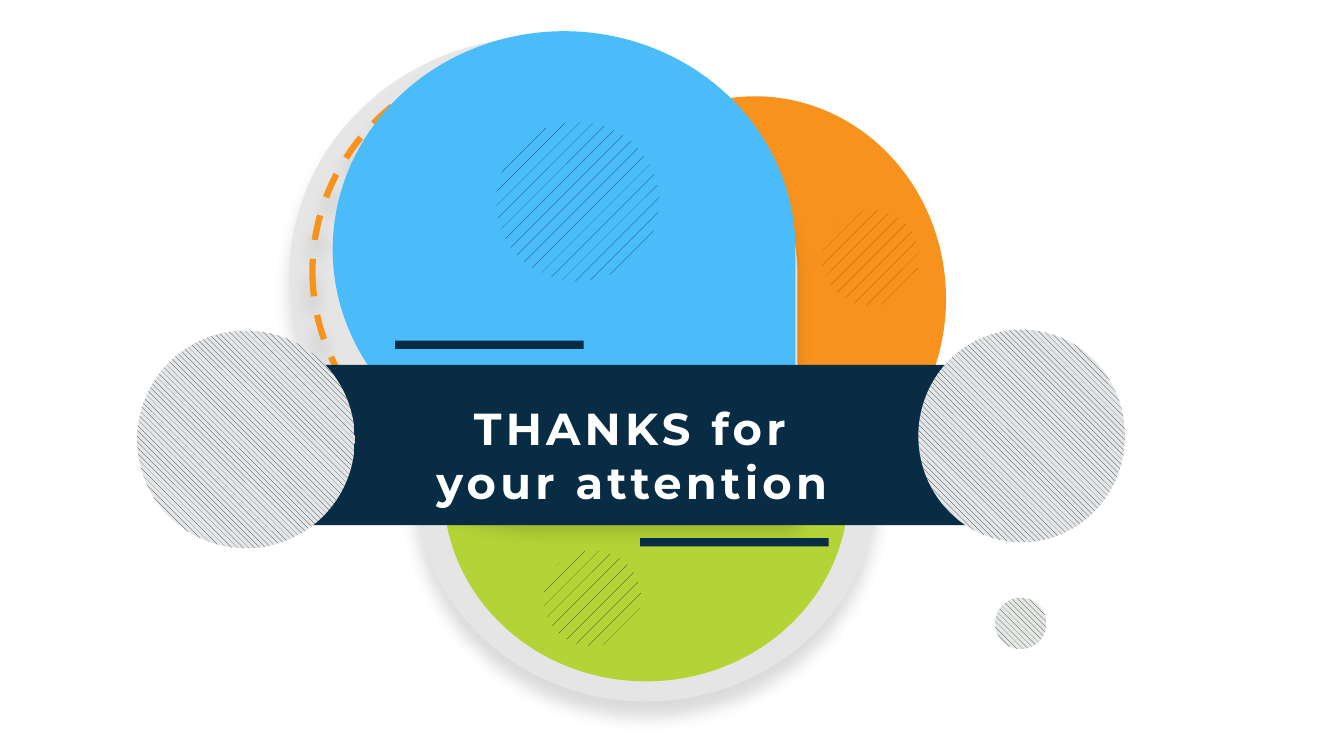
import lxml.etree
import pptx
import pptx.dml.color
import pptx.enum.dml
import pptx.enum.shapes
import pptx.enum.text
import pptx.oxml
import pptx.oxml.ns
import pptx.util

RGBColor = pptx.dml.color.RGBColor
WHITE = RGBColor(0xFF, 0xFF, 0xFF)
GREY = RGBColor(0xE7, 0xE6, 0xE6)
NAVY = RGBColor(0x07, 0x2C, 0x44)
BLUE = RGBColor(0x4B, 0xBC, 0xFA)
ORANGE = RGBColor(0xF7, 0x93, 0x1C)
BROWN = RGBColor(0x85, 0x4A, 0x05)
LIME = RGBColor(0xB3, 0xD3, 0x36)
FOREST = RGBColor(0x0B, 0x42, 0x13)

SHAPE = pptx.enum.shapes.MSO_SHAPE
DOTS = pptx.enum.dml.MSO_PATTERN.PERCENT_5
STRIPES = pptx.enum.dml.MSO_PATTERN.WIDE_DOWNWARD_DIAGONAL
BADGE = (7.28, 12.67)
BAR = (14.03, 1.07)
PETAL = (30.15, 50.53)


class ClosingSlide:
    """Draws the closing page, with all lengths in percent of the slide's size."""

    font = "Montserrat"

    def __init__(self, deck):
        self.deck = deck
        self.page = deck.slides.add_slide(deck.slide_layouts.get_by_name("Title Only"))

    def frame(self, left, top, width, height):
        across, down = self.deck.slide_width / 100, self.deck.slide_height / 100
        return int(left * across), int(top * down), int(width * across), int(height * down)

    def shape(self, kind, place, color=None):
        shape = self.page.shapes.add_shape(kind, *self.frame(*place))
        shape.shadow.inherit = False
        shape.line.fill.background()
        if color is None:
            shape.fill.background()
        else:
            shape.fill.solid()
            shape.fill.fore_color.rgb = color
        return shape

    def drop(self, place, color=None, turn=0):
        drop = self.shape(SHAPE.TEAR, place, color)
        drop.rotation = turn
        drop._element.spPr.find(pptx.oxml.ns.qn("a:xfrm")).set("flipH", "1")
        return drop

    def soften(self, drop):
        effects = drop._element.spPr.find(pptx.oxml.ns.qn("a:effectLst"))
        effects.append(pptx.oxml.parse_xml(
            f'<a:outerShdw {pptx.oxml.ns.nsdecls("a")} blurRad="146050" dist="146050" '
            'dir="5460000" rotWithShape="0"><a:srgbClr val="000000">'
            '<a:alpha val="14000"/></a:srgbClr></a:outerShdw>'))

    def backdrop(self, place, turn=0):
        drop = self.drop(place, GREY, turn)
        color = drop._element.spPr.find(".//" + pptx.oxml.ns.qn("a:srgbClr"))
        lxml.etree.SubElement(color, pptx.oxml.ns.qn("a:alpha"), val="95000")
        self.soften(drop)

    def dashed_drop(self, place, color, turn):
        drop = self.drop(place, turn=turn)
        drop.line.color.rgb = color
        drop.line.width = pptx.util.Pt(4.5)
        drop.line.dash_style = pptx.enum.dml.MSO_LINE.DASH
        self.soften(drop)

    def disc(self, place, pattern, front, back):
        fill = self.shape(SHAPE.OVAL, place, back).fill
        fill.patterned()
        fill.pattern = pattern
        fill.fore_color.rgb = front
        fill.back_color.rgb = back

    def block(self, place, color):
        self.shape(SHAPE.RECTANGLE, place, color)

    def title(self, place, text):
        box = self.page.shapes.title
        box.left, box.top, box.width, box.height = self.frame(*place)
        self.page.shapes._spTree.append(box._element)
        frame = box.text_frame
        frame.text = text
        frame.word_wrap = True
        frame.auto_size = pptx.enum.text.MSO_AUTO_SIZE.SHAPE_TO_FIT_TEXT
        frame.vertical_anchor = pptx.enum.text.MSO_ANCHOR.TOP
        para = frame.paragraphs[0]
        para.alignment = pptx.enum.text.PP_ALIGN.CENTER
        para.font.name = self.font
        para.font.size = pptx.util.Pt(32)
        para.font.bold = True
        para.font.color.rgb = WHITE
        for span in para.runs:
            span._r.get_or_add_rPr().set("spc", "300")


def main():
    deck = pptx.Presentation()
    deck.slide_width = pptx.util.Inches(13.33)
    deck.slide_height = pptx.util.Inches(7.5)
    slide = ClosingSlide(deck)

    slide.backdrop((30.83, 34.93, 34.5, 57.87))
    slide.drop((41.1, 14.27, *PETAL), ORANGE, 270)
    slide.drop((33, 39.6, *PETAL), LIME)
    slide.backdrop((21.53, 4.8, 37.8, 63.33), 180)
    slide.disc((61.13, 27.73, *BADGE), DOTS, BROWN, ORANGE)
    slide.dashed_drop((23.25, 6.93, 34.58, 57.87), ORANGE, 180)
    slide.drop((24.75, 4.13, 34.43, 57.73), BLUE, 180)

    slide.block((21.75, 48.27, 52.95, 21.2), NAVY)
    slide.disc((10.2, 43.73, 16.2, 28.8), STRIPES, NAVY, GREY)
    slide.title((29.63, 52.4, 34.8, 15.73), "THANKS for your attention")
    slide.block((47.63, 71.2, *BAR), NAVY)
    slide.block((29.4, 45.07, *BAR), NAVY)

    slide.disc((68.33, 43.6, 15.38, 28.13), STRIPES, NAVY, GREY)
    slide.disc((40.43, 72.8, *BADGE), DOTS, FOREST, LIME)
    slide.disc((74.03, 79.07, 3.83, 6.8), STRIPES, FOREST, GREY)
    slide.disc((36.9, 16.13, 12.15, 21.07), DOTS, NAVY, BLUE)
    deck.save("out.pptx")


if __name__ == "__main__":
    main()
